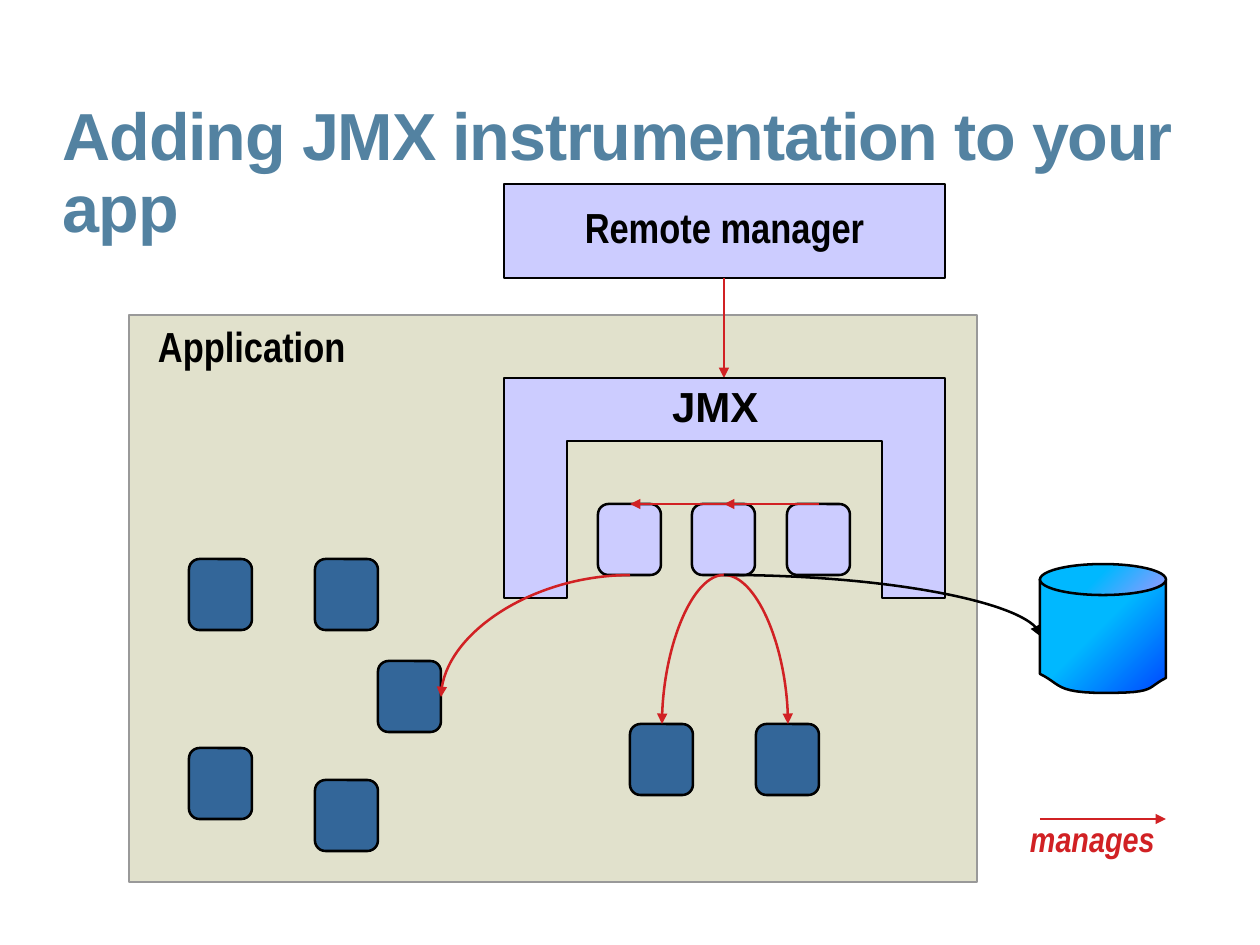
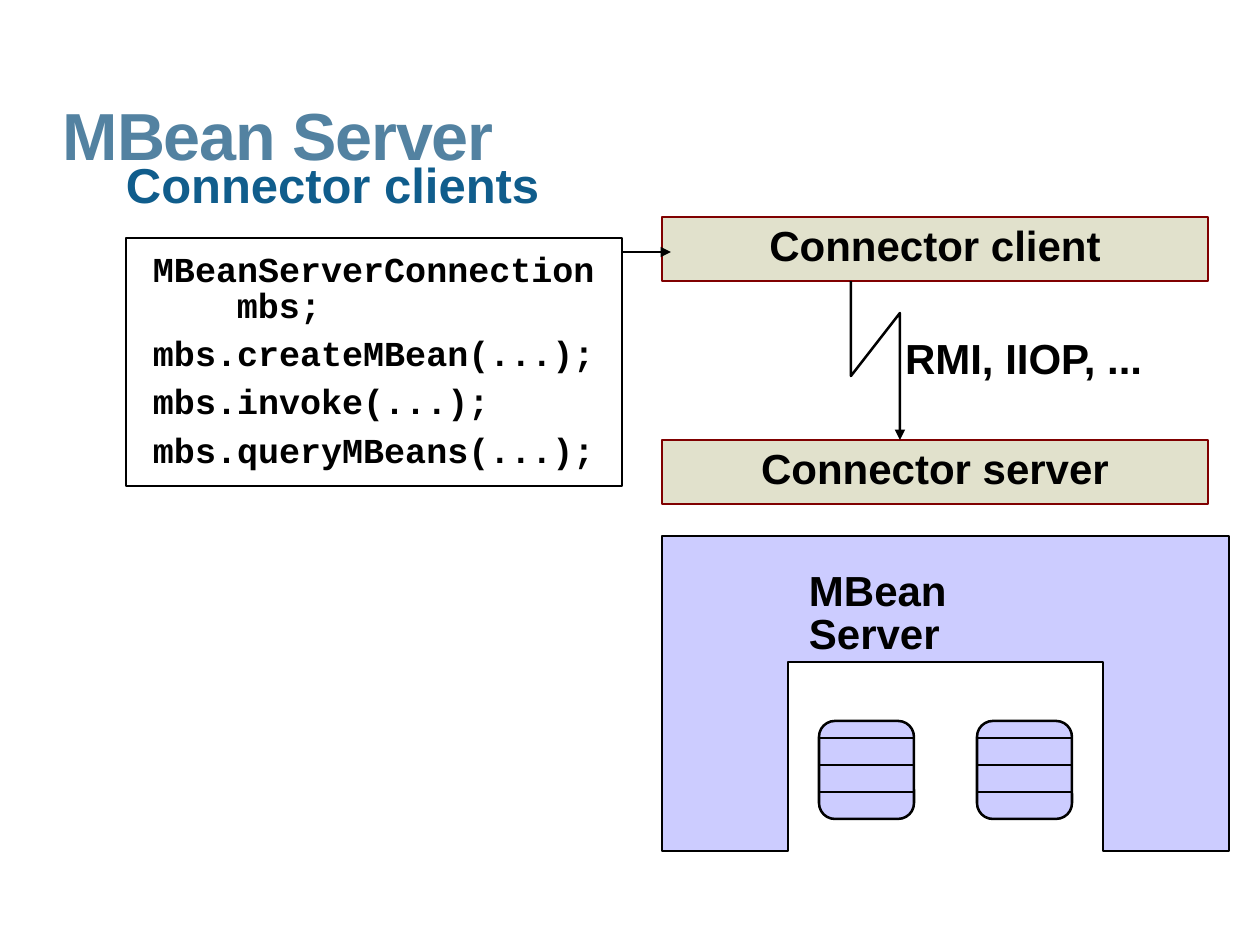
from pptx import Presentation, util as u
from pptx.dml.color import RGBColor
from pptx.enum import shapes, text
from pptx.oxml.ns import qn
from lxml import etree

PX_PER_INCH = 126
COLORS = {
    "title": "5382A1", "subtitle": "105D8C", "ink": "000000", "white": "FFFFFF",
    "sand": "E1E1CC", "lavender": "CCCCFF", "steel": "336699", "grey": "999999",
    "red": "D12124", "maroon": "800000", "sky": "00B8FF", "deep": "0047FF", "violet": "9999FF",
}
SHAPE = shapes.MSO_SHAPE
LINK = shapes.MSO_CONNECTOR
CENTER = text.PP_ALIGN.CENTER


def px(n):
    return u.Emu(round(n * 914400 / PX_PER_INCH))


def place(box):
    return [px(n) for n in box]


def rgb(name):
    return RGBColor.from_string(COLORS[name])


def style(shape, fill, line="ink", weight=1.45):
    shape.shadow.inherit = False
    if fill is None:
        shape.fill.background()
    elif isinstance(fill, tuple):
        shape.fill.gradient()
        shape.fill.gradient_angle = 315
        for stop, position, color in zip(shape.fill.gradient_stops, (0.45, 1), fill):
            stop.position = position
            stop.color.rgb = rgb(color)
    else:
        shape.fill.solid()
        shape.fill.fore_color.rgb = rgb(fill)
    shape.line.color.rgb = rgb(line)
    shape.line.width = u.Pt(weight)
    return shape


def block(slide, kind, box, fill, line="ink", weight=1.45):
    return style(slide.shapes.add_shape(kind, *place(box)), fill, line, weight)


def outline(slide, points, fill, close=True):
    path = [(px(x), px(y)) for x, y in points]
    builder = slide.shapes.build_freeform(*path[0], scale=1.0)
    builder.add_line_segments(path[1:], close=close)
    return style(builder.convert_to_shape(), fill)


def add_arrowhead(shape):
    etree.SubElement(shape.line._get_or_add_ln(), qn("a:tailEnd"), type="triangle")


def link(slide, start, end, color="ink", arrow=True, curved=False):
    kind = LINK.CURVE if curved else LINK.STRAIGHT
    connector = slide.shapes.add_connector(kind, *place(start + end))
    connector.line.color.rgb = rgb(color)
    connector.line.width = u.Pt(1.45)
    if arrow:
        add_arrowhead(connector)
    properties = connector._element.spPr
    etree.SubElement(properties, qn("a:effectLst"))
    if curved:
        properties.find(qn("a:prstGeom")).set("prst", "curvedConnector2")
        frame = properties.find(qn("a:xfrm"))
        if frame.attrib.pop("flipH", None):
            frame.set("rot", "10800000")
            if start[1] != end[1]:
                frame.set("flipV", "1")


def write(paragraph, words, size, font="Arial", color="ink", italic=False,
          align=text.PP_ALIGN.LEFT, spacing=0.85, before=7.2):
    paragraph.alignment = align
    paragraph.line_spacing = spacing
    paragraph.space_before = u.Pt(before)
    for i, line in enumerate(words.split("\n")):
        if i:
            paragraph.add_line_break()
        run = paragraph.add_run()
        run.text = line
        run.font.size = u.Pt(size)
        run.font.name = font
        run.font.bold = True
        run.font.italic = italic
        run.font.color.rgb = rgb(color)


def set_frame(shape, margins=(0, 0, 0, 0), wrap=True, anchor=text.MSO_ANCHOR.MIDDLE):
    frame = shape.text_frame
    frame.margin_left, frame.margin_top, frame.margin_right, frame.margin_bottom = place(margins)
    frame.word_wrap = wrap
    frame.vertical_anchor = anchor
    return frame


def label(slide, box, words, size=24, wrap=False, margins=(0, 0, 0, 0), **look):
    area = slide.shapes.add_textbox(*place(box))
    frame = set_frame(area, margins, wrap, text.MSO_ANCHOR.TOP)
    frame.auto_size = text.MSO_AUTO_SIZE.SHAPE_TO_FIT_TEXT
    write(frame.paragraphs[0], words, size, **look)
    return frame


def title(slide, words, height):
    frame = label(slide, (63, 103, 1144, height), words, 38, wrap=True,
                  color="title", spacing=0.9, before=0)
    frame.paragraphs[0].runs[0].font._element.set("spc", "-70")


def portal(slide, box, thickness):
    x, y, w, h = box
    left, right, top, bottom = x + thickness, x + w - thickness, y + thickness, y + h
    outline(slide, [(x, bottom), (left, bottom), (left, top), (right, top),
                    (right, bottom), (x + w, bottom), (x + w, y), (x, y)], "lavender")


def application(slide, box):
    x, y, w, h = box
    block(slide, SHAPE.RECTANGLE, box, "sand", "grey")
    resources = [(249, 346), (501, 409), (627, 409), (60, 244), (186, 244), (60, 433), (186, 465)]
    for dx, dy in resources:
        block(slide, SHAPE.ROUNDED_RECTANGLE, (x + dx, y + dy, 63, 71), "steel")
    label(slide, (x + 29, y + 13, 229, 50), "Application", font="Arial Narrow")


def remote_manager(slide, box):
    x, y, w, h = box
    manager = block(slide, SHAPE.RECTANGLE, box, "lavender")
    write(set_frame(manager).paragraphs[0], "Remote manager", 24, "Arial Narrow", align=CENTER)
    middle = x + w // 2
    link(slide, (middle, y + h), (middle, y + h + 100), "red")


def jmx_agent(slide, box):
    x, y, w, h = box
    portal(slide, box, 63)
    label(slide, (x + 168, y + 10, 105, 50), "JMX")
    for i in range(3):
        block(slide, SHAPE.ROUNDED_RECTANGLE, (x + 94 + i * 189 // 2, y + 126, 63, 71), "lavender")


def bezier(start, first, second, end, steps=12):
    for i in range(1, steps + 1):
        t = i / steps
        weights = ((1 - t) ** 3, 3 * t * (1 - t) ** 2, 3 * t * t * (1 - t), t ** 3)
        yield tuple(sum(k * p[axis] for k, p in zip(weights, (start, first, second, end)))
                    for axis in (0, 1))


def database(slide, box):
    x, y, w, h = box
    rim, bottom = y + 15, y + h
    right_foot, low, left_foot = (x + w, bottom - 15), (x + 65, bottom), (x, bottom - 19)
    body = [(x, rim), (x + w, rim), right_foot]
    body += bezier(right_foot, (x + 106, bottom - 5), (x + 117, bottom), low)
    body += bezier(low, (x + 15, bottom), (x + 21, bottom - 9), left_foot)
    outline(slide, body, ("sky", "deep"))
    block(slide, SHAPE.OVAL, (x, y, w, 31), ("sky", "violet"))


def management_links(slide, box):
    x, y, w, h = box
    first, second, third = x + 126, x + 220, x + 315
    top, bottom = y + 126, y + 197
    routes = [
        ((third, top), (second, top), "red"),
        ((third, top), (first, top), "red"),
        ((first, bottom), (x - 63, y + 319), "red"),
        ((second, bottom), (x + 158, y + 346), "red"),
        ((second, bottom), (x + 284, y + 346), "red"),
        ((second, bottom), (x + 536, y + 258), "ink"),
    ]
    for start, end, color in routes:
        link(slide, start, end, color, curved=True)


def legend(slide, box):
    x, y, w, h = box
    link(slide, (x, y), (x + w, y), "red")
    label(slide, (x - 10, y + 5, 145, h), "manages", 20,
          font="Arial Narrow", color="red", italic=True)


def instrumentation_slide(slide):
    title(slide, "Adding JMX instrumentation to your app", 134)
    agent = (504, 378, 441, 220)
    application(slide, (129, 315, 848, 567))
    remote_manager(slide, (504, 184, 441, 94))
    jmx_agent(slide, agent)
    database(slide, (1040, 564, 126, 129))
    management_links(slide, agent)
    legend(slide, (1040, 819, 126, 40))


def mbean_server(slide, box):
    x, y, w, h = box
    portal(slide, box, 126)
    for left in (x + 157, x + 315):
        top = y + 185
        block(slide, SHAPE.ROUNDED_RECTANGLE, (left, top, 95, 98), "lavender")
        for i in range(3):
            row = top + 17 + 27 * i
            link(slide, (left, row), (left + 95, row), arrow=False)
    label(slide, (x + 147, y + 36, 280, 49), "MBean Server")


def client_code(slide, box):
    x, y, w, h = box
    listing = block(slide, SHAPE.RECTANGLE, box, "white")
    frame = set_frame(listing, (27, 0, 0, 0))
    lines = ["MBeanServerConnection\nmbs;", "mbs.createMBean(...);",
             "mbs.invoke(...);", "mbs.queryMBeans(...);"]
    for i, line in enumerate(lines):
        paragraph = frame.add_paragraph() if i else frame.paragraphs[0]
        write(paragraph, line, 20, "Courier New")
    hanging = frame.paragraphs[0]._p.get_or_add_pPr()
    hanging.set("marL", str(px(84)))
    hanging.set("indent", str(px(-84)))
    link(slide, (x + w, y + 14), (x + w + 49, y + 14))


def connectors(slide, box):
    x, y, w, h = box
    bar = 64
    for top, words in ((y, "Connector client"), (y + h - bar, "Connector server")):
        end = block(slide, SHAPE.RECTANGLE, (x, top, w, bar), "sand", "maroon", 1.5)
        write(set_frame(end, (1, 1, 1, 1)).paragraphs[0], words, 24, align=CENTER)
    left, right = x + 189, x + 238
    bolt = outline(slide, [(left, y + bar), (left, y + 159), (right, y + 96),
                           (right, y + h - bar)], None, close=False)
    add_arrowhead(bolt)
    label(slide, (right + 5, y + 123, 268, 49), "RMI, IIOP, ...")


def connector_slide(slide):
    title(slide, "MBean Server", 87)
    mbean_server(slide, (662, 536, 567, 315))
    label(slide, (126, 158, 1071, 74), "Connector clients", 28, wrap=True,
          margins=(0, 6, 6, 6), color="subtitle", before=7.1)
    connectors(slide, (662, 217, 546, 287))
    client_code(slide, (126, 238, 496, 248))


def main():
    deck = Presentation()
    deck.slide_width, deck.slide_height = px(1260), px(945)
    for build in (instrumentation_slide, connector_slide):
        build(deck.slides.add_slide(deck.slide_layouts[6]))
    deck.save("out.pptx")


if __name__ == "__main__":
    main()
